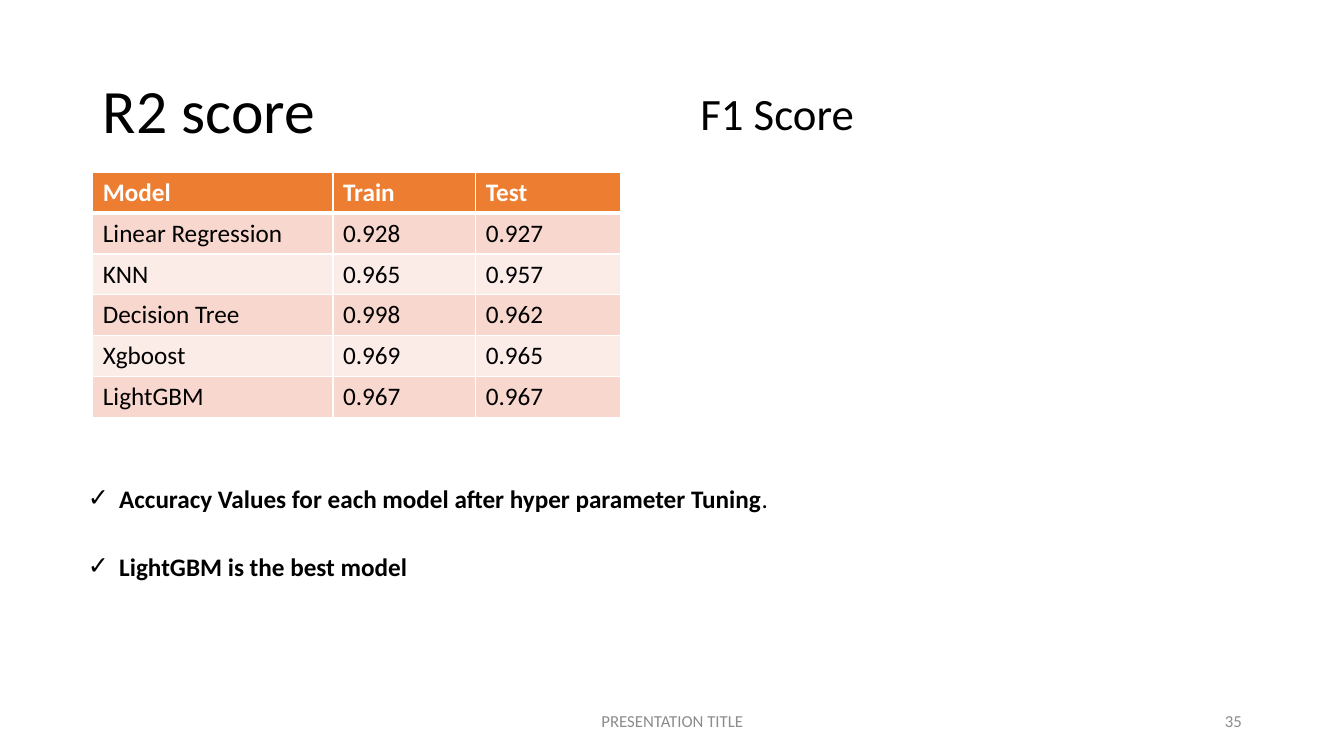
import dataclasses
import typing

import lxml.etree
import pptx
import pptx.dml.color
import pptx.enum.text
import pptx.oxml.ns
import pptx.util

Cm = pptx.util.Cm
Pt = pptx.util.Pt
Align = pptx.enum.text.PP_ALIGN
Anchor = pptx.enum.text.MSO_ANCHOR
qualified = pptx.oxml.ns.qn

FONT = "Calibri"
BLACK, WHITE, GREY = "000000", "FFFFFF", "8C8C8C"
HEADER_FILL = "ED7D31"
BAND_FILLS = ("F8D7CE", "FCECE8")


@dataclasses.dataclass
class Label:
    text: str
    left: float
    top: float
    width: float
    height: float
    size: float
    color: str = BLACK
    align: Align = Align.LEFT
    anchor: Anchor = Anchor.TOP


TITLE = Label("R2 score", 2.34, 1.02, 6.22, 3.68, 44, anchor=Anchor.MIDDLE)
LABELS = [
    Label("PRESENTATION TITLE", 11.23, 17.65, 11.43, 1.02, 12, GREY, Align.CENTER, Anchor.MIDDLE),
    Label("35", 23.93, 17.65, 7.62, 1.02, 12, GREY, Align.RIGHT, Anchor.MIDDLE),
    Label("F1 Score", 17.4, 2.03, 16.2, 1.63, 32),
]
SCORES = [
    ("Model", "Train", "Test"),
    ("Linear Regression", "0.928", "0.927"),
    ("KNN", "0.965", "0.957"),
    ("Decision Tree", "0.998", "0.962"),
    ("Xgboost", "0.969", "0.965"),
    ("LightGBM", "0.967", "0.967"),
]
COLUMN_WIDTHS = (6.05, 3.6, 3.66)
ROW_HEIGHT = 1.03
FINDINGS = [
    [("Accuracy Values for each model after hyper parameter Tuning", True), (".", False)],
    [("LightGBM is the best model", True)],
]


def rgb(color: str) -> pptx.dml.color.RGBColor:
    return pptx.dml.color.RGBColor.from_string(color)


def add_text(paragraph: typing.Any, text: str, *, size: float, color: str = BLACK,
             bold: bool = False, align: Align = Align.LEFT) -> None:
    paragraph.alignment = align
    run = paragraph.add_run()
    run.text = text
    run.font.name = FONT
    run.font.size = Pt(size)
    run.font.bold = bold
    run.font.color.rgb = rgb(color)


def place(shape: typing.Any, left: float, top: float, width: float, height: float) -> None:
    shape.left, shape.top, shape.width, shape.height = map(Cm, (left, top, width, height))


def fill_label(shape: typing.Any, label: Label) -> None:
    place(shape, label.left, label.top, label.width, label.height)
    frame = shape.text_frame
    frame.word_wrap = True
    frame.auto_size = pptx.enum.text.MSO_AUTO_SIZE.NONE
    frame.vertical_anchor = label.anchor
    add_text(frame.paragraphs[0], label.text, size=label.size, color=label.color, align=label.align)


def set_borders(cell: typing.Any, widths: dict[str, float]) -> None:
    properties = cell._tc.get_or_add_tcPr()
    for side, width in widths.items():
        line = lxml.etree.SubElement(properties, qualified(f"a:ln{side}"), w=str(Pt(width)))
        fill = lxml.etree.SubElement(line, qualified("a:solidFill"))
        lxml.etree.SubElement(fill, qualified("a:srgbClr"), val=WHITE)


def add_score_table(slide: typing.Any) -> None:
    frame = slide.shapes.add_table(
        len(SCORES), len(COLUMN_WIDTHS), Cm(2.34), Cm(4.34),
        Cm(sum(COLUMN_WIDTHS)), Cm(ROW_HEIGHT * len(SCORES)))
    table = frame.table
    for column, width in zip(table.columns, COLUMN_WIDTHS):
        column.width = Cm(width)
    for row_index, values in enumerate(SCORES):
        table.rows[row_index].height = Cm(ROW_HEIGHT)
        header = row_index == 0
        fill = HEADER_FILL if header else BAND_FILLS[(row_index - 1) % 2]
        top = 3 if row_index == 1 else 1
        bottom = 3 if header else 1
        for column_index, value in enumerate(values):
            cell = table.cell(row_index, column_index)
            set_borders(cell, {"L": 1, "R": 1, "T": top, "B": bottom})
            cell.fill.solid()
            cell.fill.fore_color.rgb = rgb(fill)
            add_text(cell.text_frame.paragraphs[0], value, size=18,
                     color=WHITE if header else BLACK, bold=header)


def add_findings(shape: typing.Any) -> None:
    place(shape, 1.96, 12.04, 29.97, 2.75)
    frame = shape.text_frame
    frame.auto_size = pptx.enum.text.MSO_AUTO_SIZE.NONE
    frame.vertical_anchor = Anchor.TOP
    for index, parts in enumerate(FINDINGS):
        paragraph = frame.add_paragraph() if index else frame.paragraphs[0]
        paragraph.line_spacing = 1.0
        paragraph.space_before = Pt(0)
        paragraph.space_after = Pt(27)
        properties = paragraph._p.get_or_add_pPr()
        properties.set("marL", str(Cm(0.79)))
        properties.set("indent", str(Cm(-0.79)))
        lxml.etree.SubElement(properties, qualified("a:buChar"), char="✓")
        for text, bold in parts:
            add_text(paragraph, text, size=18, bold=bold)


def main() -> None:
    presentation = pptx.Presentation()
    presentation.slide_width = Cm(33.87)
    presentation.slide_height = Cm(19.05)
    slide = presentation.slides.add_slide(presentation.slide_layouts[1])
    fill_label(slide.shapes.title, TITLE)
    slide.shapes.title.text_frame.paragraphs[0].line_spacing = 0.9
    add_score_table(slide)
    add_findings(slide.placeholders[1])
    for label in LABELS:
        fill_label(slide.shapes.add_textbox(0, 0, 0, 0), label)
    presentation.save("out.pptx")


if __name__ == "__main__":
    main()
